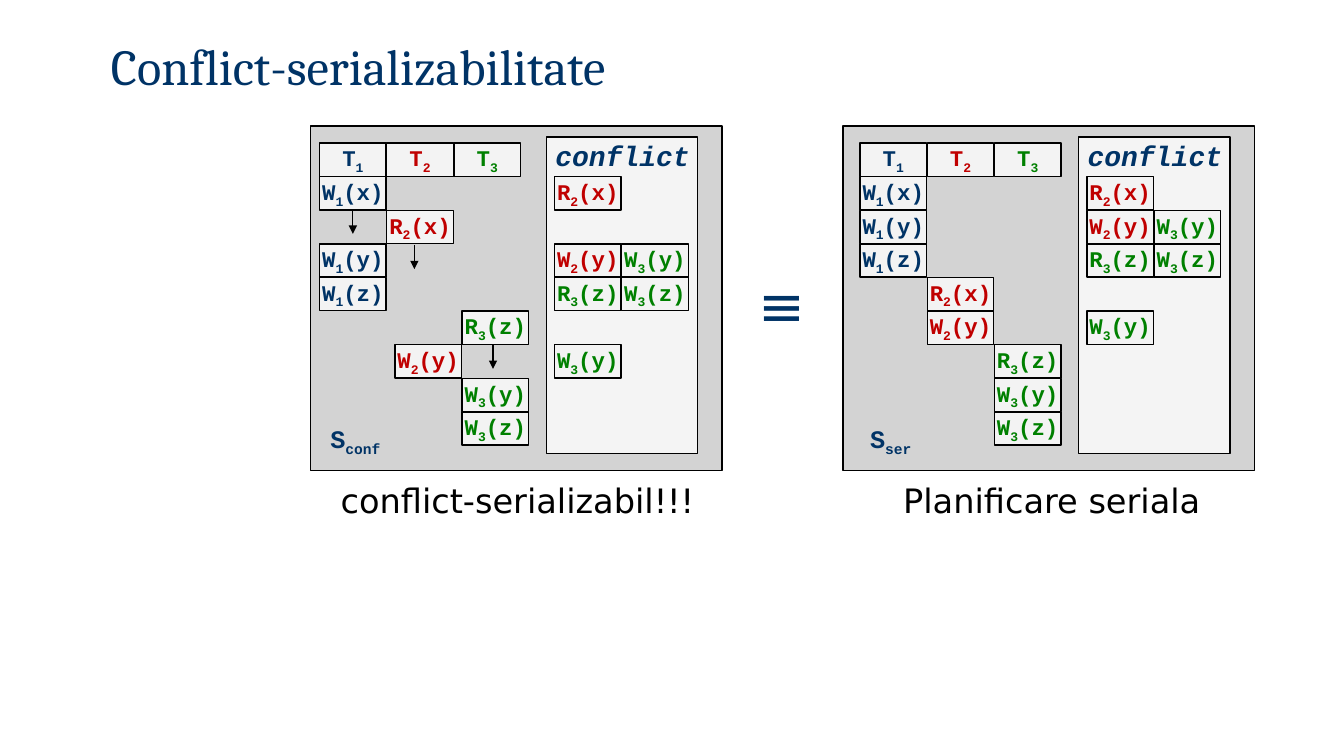
from lxml.etree import SubElement
from pptx import Presentation
from pptx.dml.color import RGBColor
from pptx.enum.shapes import MSO_CONNECTOR as Connector, MSO_SHAPE as Shape
from pptx.enum.text import MSO_ANCHOR as Anchor, MSO_AUTO_SIZE as AutoSize, PP_ALIGN as Align
from pptx.oxml.ns import qn
from pptx.util import Inches, Pt

NAVY, BLACK = "003366", "000000"
TRANSACTION_COLORS = {"1": NAVY, "2": "C00000", "3": "008000"}
MONO, SANS, SERIF = "Courier New", "DejaVu Sans", "Cambria"
CELL_W, CELL_H = 0.66, 0.33
COLUMN_STEP, ROW_STEP = 2 / 3, 1 / 3
HEADER_TOP = 1.42

# Operations written as kind, transaction, item; each maps to those it conflicts with
CONFLICTS = {
    "W1x": ["R2x"],
    "W1y": ["W2y", "W3y"],
    "W1z": ["R3z", "W3z"],
    "W2y": ["W3y"],
}
CONFLICT_SCHEDULE = ["W1x", "R2x", "W1y", "W1z", "R3z", "W2y", "W3y", "W3z"]
SERIAL_SCHEDULE = ["W1x", "W1y", "W1z", "R2x", "W2y", "R3z", "W3y", "W3z"]


def rgb(color):
    return RGBColor.from_string(color)


class ScheduleSlide:
    def __init__(self, deck):
        self.slide = deck.slides.add_slide(deck.slide_layouts[5])
        self.shapes = self.slide.shapes

    def add_runs(self, frame, runs, font, size, color, bold=False, italic=False,
                 align=Align.LEFT):
        """Fill the first paragraph from (text, is_subscript) pairs."""
        paragraph = frame.paragraphs[0]
        paragraph.alignment = align
        for text, subscript in runs:
            run = paragraph.add_run()
            run.text = text
            run.font.name = font
            run.font.size = Pt(size)
            run.font.bold = bold
            run.font.italic = italic
            run.font.color.rgb = rgb(color)
            if subscript:
                run.font._element.set("baseline", "-25000")

    def title(self, text):
        title = self.shapes.title
        title.left, title.top = Inches(1), Inches(0.29)
        title.width, title.height = Inches(10.67), Inches(0.71)
        title.text_frame.vertical_anchor = Anchor.BOTTOM
        self.add_runs(title.text_frame, [(text, False)], SERIF, 36, NAVY)

    def box(self, left, top, width, height, fill, opacity=None):
        box = self.shapes.add_shape(
            Shape.RECTANGLE, Inches(left), Inches(top), Inches(width), Inches(height))
        box.shadow.inherit = False
        box.fill.solid()
        box.fill.fore_color.rgb = rgb(fill)
        box.line.color.rgb = rgb(BLACK)
        box.line.width = Pt(1)
        if opacity is not None:
            color = box._element.spPr.find(qn("a:solidFill")).find(qn("a:srgbClr"))
            SubElement(color, qn("a:alpha"), val=str(opacity * 1000))
        return box

    def cell(self, left, row, operation):
        """Draw an operation such as W1x, or a transaction heading such as T1."""
        kind, transaction, item = operation[0], operation[1], operation[2:]
        cell = self.box(left, HEADER_TOP + row * ROW_STEP, CELL_W, CELL_H, "F3F3F3")
        cell.text_frame.word_wrap = False
        cell.text_frame.vertical_anchor = Anchor.MIDDLE
        runs = [(kind, False), (transaction, True)]
        if item:
            runs.append((f"({item})", False))
        self.add_runs(cell.text_frame, runs, MONO, 16, TRANSACTION_COLORS[transaction],
                      bold=True, align=Align.CENTER)
        return cell

    def label(self, left, top, width, height, runs, font, size, color,
              wrap=False, anchor=Anchor.TOP, **style):
        label = self.shapes.add_textbox(
            Inches(left), Inches(top), Inches(width), Inches(height))
        frame = label.text_frame
        frame.word_wrap = wrap
        frame.auto_size = AutoSize.SHAPE_TO_FIT_TEXT
        frame.vertical_anchor = anchor
        self.add_runs(frame, runs, font, size, color, **style)

    def arrow(self, x, top, source=None):
        """Draw a short downward arrow, joined to the bottom of source if given."""
        arrow = self.shapes.add_connector(
            Connector.STRAIGHT, Inches(x), Inches(top), Inches(x), Inches(top + 0.24))
        if source is not None:
            arrow.begin_connect(source, 2)
        arrow.line.color.rgb = rgb(BLACK)
        arrow.line.width = Pt(0.75)
        properties = arrow._element.spPr
        SubElement(properties.find(qn("a:ln")), qn("a:tailEnd"), type="triangle")
        SubElement(properties, qn("a:effectLst"))

    def schedule(self, left, grid_left, conflict_left, operations, late_shift=0):
        """Draw a schedule with its conflicts; late_shift moves rows 5 and on."""
        self.box(left, 1.25, 4.08, 3.42, "D3D3D3")
        self.box(left + 2.34, 1.36, 1.5, 3.14, "FFFFFF", opacity=77)
        self.label(left + 2.32, 1.32, 1.55, 0.44, [("conflict", False)], MONO, 20, NAVY,
                   anchor=Anchor.MIDDLE, bold=True, italic=True, align=Align.CENTER)
        cells = {}
        for row, operation in enumerate(operations, start=1):
            shift = late_shift if row >= 5 else 0
            column = int(operation[1]) - 1
            cells[operation] = self.cell(
                grid_left + column * COLUMN_STEP + shift, row, operation)
            for place, conflict in enumerate(CONFLICTS.get(operation, [])):
                self.cell(conflict_left + place * COLUMN_STEP, row, conflict)
        for column, transaction in enumerate(TRANSACTION_COLORS):
            self.cell(grid_left + column * COLUMN_STEP, 0, "T" + transaction)
        return cells

    def schedule_name(self, left, width, subscript):
        self.label(left, 4.17, width, 0.4, [("S", False), (subscript, True)], MONO, 18, NAVY,
                   anchor=Anchor.MIDDLE, bold=True, align=Align.CENTER)

    def caption(self, left, width, text, wrap=False):
        self.label(left, 4.71, width, 0.5, [(text, False)], SANS, 24, BLACK, wrap=wrap)


def main():
    deck = Presentation()
    deck.slide_width, deck.slide_height = Inches(13.33), Inches(7.5)
    page = ScheduleSlide(deck)
    page.title("Conflict-serializabilitate")

    page.schedule(8.36, 8.53, 10.78, SERIAL_SCHEDULE)
    page.schedule_name(8.51, 0.65, "ser")
    page.caption(8.86, 3.5, "Planificare seriala", wrap=True)

    operations = page.schedule(3.08, 3.17, 5.5, CONFLICT_SCHEDULE, late_shift=0.08)
    page.schedule_name(3.15, 0.75, "conf")
    page.caption(3.28, 3.73, "conflict-serializabil!!!")
    page.arrow(3.5, 2.08, source=operations["W1x"])
    page.arrow(4.11, 2.43)
    page.arrow(4.89, 3.42)

    page.label(7.42, 2.63, 0.66, 0.77, [("≡", False)], SANS, 40, NAVY)
    deck.save("out.pptx")


if __name__ == "__main__":
    main()
